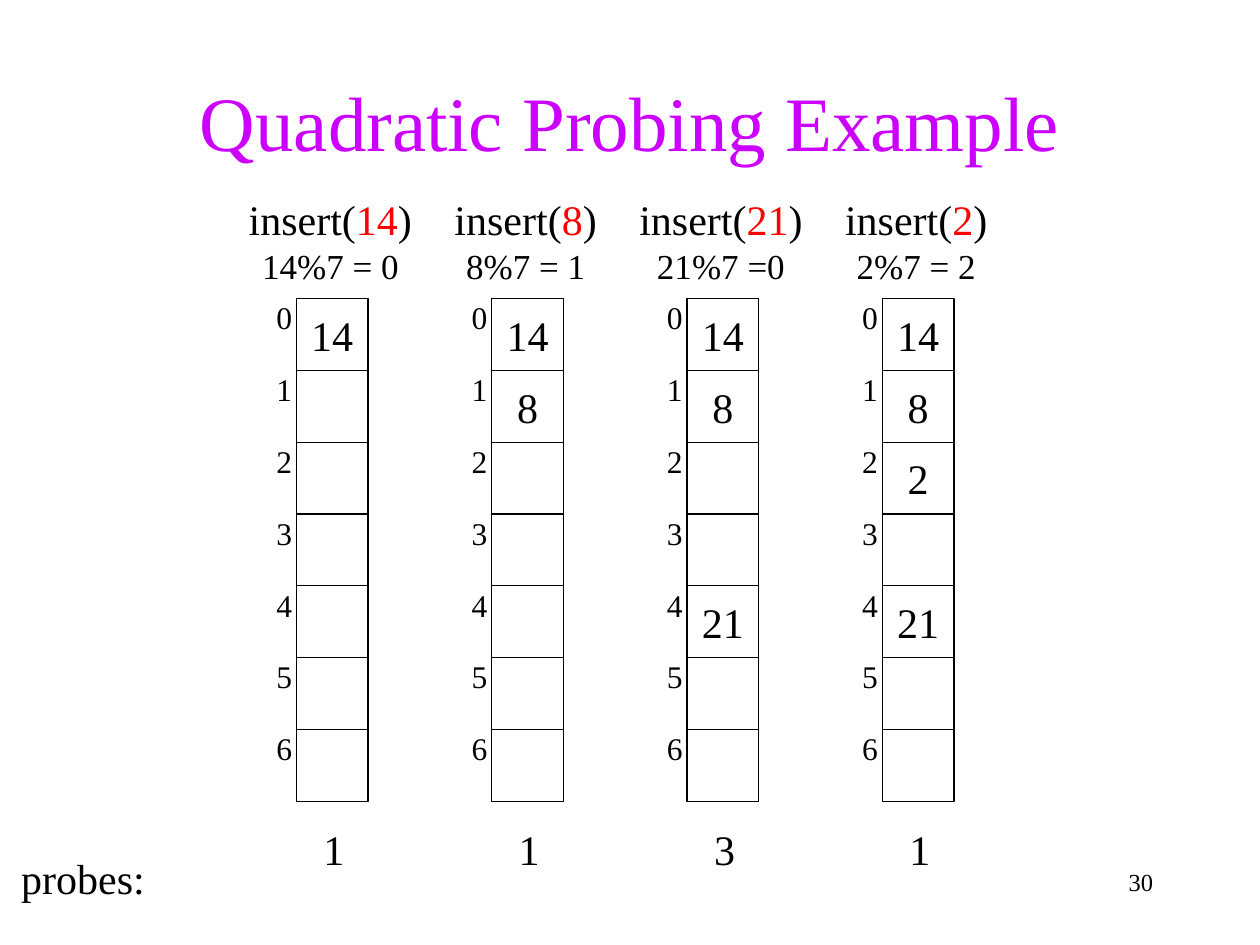
from dataclasses import dataclass

from pptx import Presentation
from pptx.dml.color import RGBColor
from pptx.enum.shapes import MSO_SHAPE
from pptx.enum.text import MSO_ANCHOR, MSO_AUTO_SIZE, PP_ALIGN
from pptx.util import Inches, Pt

RECTANGLE = MSO_SHAPE.RECTANGLE
TOP, MIDDLE = MSO_ANCHOR.TOP, MSO_ANCHOR.MIDDLE
LEFT, CENTER, RIGHT = PP_ALIGN.LEFT, PP_ALIGN.CENTER, PP_ALIGN.RIGHT
GROW = MSO_AUTO_SIZE.SHAPE_TO_FIT_TEXT
SLIDE_WIDTH, SLIDE_HEIGHT = Inches(10), Inches(7.5)


@dataclass(frozen=True)
class Theme:
    font: str = "Times New Roman"
    ink: str = "000000"
    title: str = "CC00FF"
    key: str = "FF0000"
    title_size: int = 44
    body_size: int = 24
    hash_size: int = 20
    index_size: int = 18
    number_size: int = 14
    line_width: float = 0.75


@dataclass(frozen=True)
class Box:
    """Position and size in percent of the slide."""

    left: float
    top: float
    width: float
    height: float

    def inner(self, left, top, width, height):
        return Box(self.left + left, self.top + top, width, height)

    def centered(self, top, width, height, shift=0):
        return self.inner((self.width - width) / 2 + shift, top, width, height)

    def place(self):
        return (
            round(SLIDE_WIDTH * self.left / 100),
            round(SLIDE_HEIGHT * self.top / 100),
            round(SLIDE_WIDTH * self.width / 100),
            round(SLIDE_HEIGHT * self.height / 100),
        )


THEME = Theme()
TABLE_SIZE = 7
CELL_WIDTH, CELL_HEIGHT = 5.7, 7.6
LINE_HEIGHT = 6.67
TABLE_TOP = 11.73
FIRST_COLUMN = Box(18.62, 19.87, 15.5, 73.33)
INSERTIONS = [
    (14, "14%7 = 0", 0, 1),
    (8, "8%7 = 1", 1, 1),
    (21, "21%7 =0", 4, 3),
    (2, "2%7 = 2", 2, 1),
]


def write_text(shape, lines, align=LEFT, anchor=TOP, wrap=False):
    frame = shape.text_frame
    frame.word_wrap = wrap
    frame.vertical_anchor = anchor
    for number, line in enumerate(lines):
        paragraph = frame.add_paragraph() if number else frame.paragraphs[0]
        paragraph.alignment = align
        for text, size, color in line:
            run = paragraph.add_run()
            run.text = text
            run.font.name = THEME.font
            run.font.size = Pt(size)
            run.font.color.rgb = RGBColor.from_string(color)


def add_label(slide, box, lines, **layout):
    label = slide.shapes.add_textbox(*box.place())
    write_text(label, lines, **layout)
    if not layout.get("wrap"):
        label.text_frame.auto_size = GROW


def add_title(slide, box):
    line = [("Quadratic Probing Example", THEME.title_size, THEME.title)]
    add_label(slide, box, [line], align=CENTER, anchor=MIDDLE, wrap=True)


def add_header(slide, box, key, hashing):
    call = [
        ("insert(", THEME.body_size, THEME.ink),
        (str(key), THEME.body_size, THEME.key),
        (")", THEME.body_size, THEME.ink),
    ]
    result = [(hashing, THEME.hash_size, THEME.ink)]
    width = 11.7 + 1.67 * len(str(key))
    add_label(slide, box.centered(0, width, 11.2, -0.15), [call, result], align=CENTER)


def add_hash_table(slide, box, slots):
    for index in range(TABLE_SIZE):
        cell_box = box.inner(0, index * CELL_HEIGHT, CELL_WIDTH, CELL_HEIGHT)
        cell = slide.shapes.add_shape(RECTANGLE, *cell_box.place())
        cell.shadow.inherit = False
        cell.fill.background()
        cell.line.color.rgb = RGBColor.from_string(THEME.ink)
        cell.line.width = Pt(THEME.line_width)
        if index in slots:
            entry = [(str(slots[index]), THEME.body_size, THEME.ink)]
            write_text(cell, [entry], align=CENTER, anchor=MIDDLE)
        number = [(str(index), THEME.index_size, THEME.ink)]
        add_label(slide, cell_box.inner(-2.58, -0.7, 3.2, 5.33), [number])


def add_insertion(slide, box, key, hashing, slots, probes):
    add_header(slide, box, key, hashing)
    table_box = box.centered(TABLE_TOP, CELL_WIDTH, TABLE_SIZE * CELL_HEIGHT)
    add_hash_table(slide, table_box, slots)
    count_box = box.centered(box.height - LINE_HEIGHT, 3.6, LINE_HEIGHT, 0.12)
    add_label(slide, count_box, [[(str(probes), THEME.body_size, THEME.ink)]])


def add_probes_label(slide, box):
    add_label(slide, box, [[("probes:", THEME.body_size, THEME.ink)]])


def add_slide_number(slide, box):
    line = [("30", THEME.number_size, THEME.ink)]
    add_label(slide, box, [line], align=RIGHT, wrap=True)


def main():
    presentation = Presentation()
    presentation.slide_width, presentation.slide_height = SLIDE_WIDTH, SLIDE_HEIGHT
    slide = presentation.slides.add_slide(presentation.slide_layouts[6])
    add_title(slide, Box(7.5, 4.4, 85, 16.67))
    add_probes_label(slide, Box(0.7, 89.52, 11.8, LINE_HEIGHT))
    slots = {}
    for column, (key, hashing, slot, probes) in enumerate(INSERTIONS):
        slots[slot] = key
        left = column * FIRST_COLUMN.width
        box = FIRST_COLUMN.inner(left, 0, FIRST_COLUMN.width, FIRST_COLUMN.height)
        add_insertion(slide, box, key, hashing, slots, probes)
    add_slide_number(slide, Box(71.7, 91.07, 20.8, LINE_HEIGHT))
    presentation.save("out.pptx")


if __name__ == "__main__":
    main()
